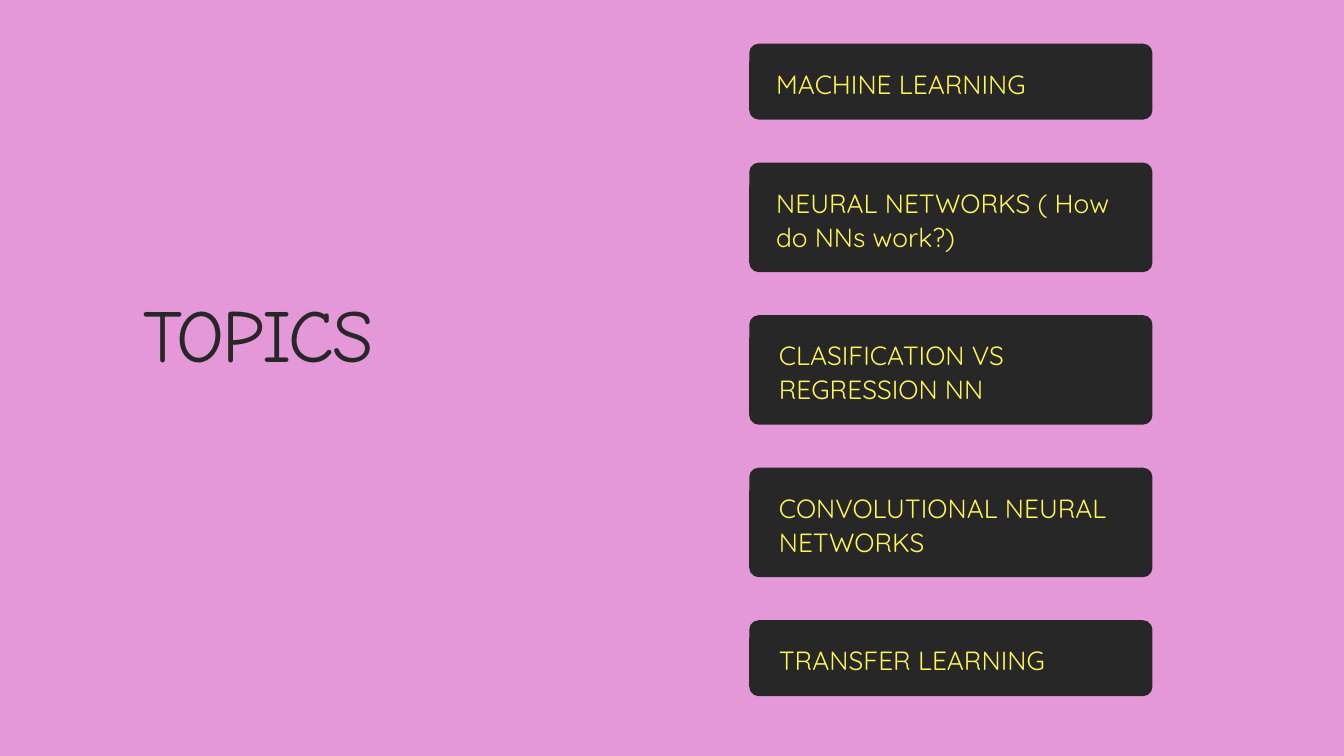
from dataclasses import dataclass

from pptx import Presentation
from pptx.dml.color import RGBColor
from pptx.enum.shapes import MSO_SHAPE
from pptx.enum.text import MSO_ANCHOR, PP_ALIGN
from pptx.slide import Slide
from pptx.util import Inches, Pt


@dataclass(frozen=True)
class TextStyle:
    font: str
    size: float
    line_spacing: float
    color: RGBColor
    tracking: float = 0


@dataclass(frozen=True)
class Theme:
    background: RGBColor = RGBColor.from_string("E598D8")
    card: RGBColor = RGBColor.from_string("272727")
    title: TextStyle = TextStyle(
        "Comic Neue", 80, 96, RGBColor.from_string("272727"), -2
    )
    topic: TextStyle = TextStyle(
        "Quicksand", 28.2, 36.7, RGBColor.from_string("FFF559")
    )


@dataclass(frozen=True)
class Topic:
    text: str
    lines: int
    indent: float


THEME = Theme()
TOPICS = [
    Topic("MACHINE LEARNING", 1, 0.4),
    Topic("NEURAL NETWORKS ( How do NNs work?)", 2, 0.4),
    Topic("CLASIFICATION VS REGRESSION NN", 2, 0.44),
    Topic("CONVOLUTIONAL NEURAL NETWORKS", 2, 0.44),
    Topic("TRANSFER LEARNING", 1, 0.44),
]
CARD_LEFT, CARD_TOP, CARD_WIDTH = 11.15, 0.65, 6
CARD_GAP, CARD_RADIUS, CARD_PADDING = 0.64, 0.14, 0.32
LINE_HEIGHT, CARD_BASE_HEIGHT = 0.5, 0.63
TOPIC_WIDTH = 5.12


def add_text(slide: Slide, text: str, style: TextStyle, left: float,
             top: float, width: float, height: float) -> None:
    shape = slide.shapes.add_textbox(
        Inches(left), Inches(top), Inches(width), Inches(height)
    )
    frame = shape.text_frame
    frame.margin_left = frame.margin_right = 0
    frame.margin_top = frame.margin_bottom = 0
    frame.word_wrap = True
    frame.vertical_anchor = MSO_ANCHOR.TOP
    frame.text = text
    paragraph = frame.paragraphs[0]
    paragraph.alignment = PP_ALIGN.LEFT
    paragraph.line_spacing = Pt(style.line_spacing)
    font = paragraph.runs[0].font
    font.name = style.font
    font.size = Pt(style.size)
    font.color.rgb = style.color
    if style.tracking:
        paragraph.runs[0]._r.get_or_add_rPr().set(
            "spc", str(round(style.tracking * 100))
        )


def add_card(slide: Slide, topic: Topic, top: float) -> float:
    height = CARD_BASE_HEIGHT + topic.lines * LINE_HEIGHT
    card = slide.shapes.add_shape(
        MSO_SHAPE.ROUNDED_RECTANGLE,
        Inches(CARD_LEFT), Inches(top), Inches(CARD_WIDTH), Inches(height),
    )
    card.adjustments[0] = CARD_RADIUS / height
    card.shadow.inherit = False
    card.fill.solid()
    card.fill.fore_color.rgb = THEME.card
    card.line.fill.background()
    add_text(slide, topic.text, THEME.topic, CARD_LEFT + topic.indent,
             top + CARD_PADDING, TOPIC_WIDTH, topic.lines * LINE_HEIGHT)
    return top + height + CARD_GAP


def main() -> None:
    presentation = Presentation()
    presentation.slide_width = Inches(20)
    presentation.slide_height = Inches(11.25)
    slide = presentation.slides.add_slide(presentation.slide_layouts[6])
    slide.background.fill.solid()
    slide.background.fill.fore_color.rgb = THEME.background

    add_text(slide, "TOPICS", THEME.title, 2.14, 4.29, 7.31, 1.33)
    top = CARD_TOP
    for topic in TOPICS:
        top = add_card(slide, topic, top)

    presentation.save("out.pptx")


if __name__ == "__main__":
    main()
